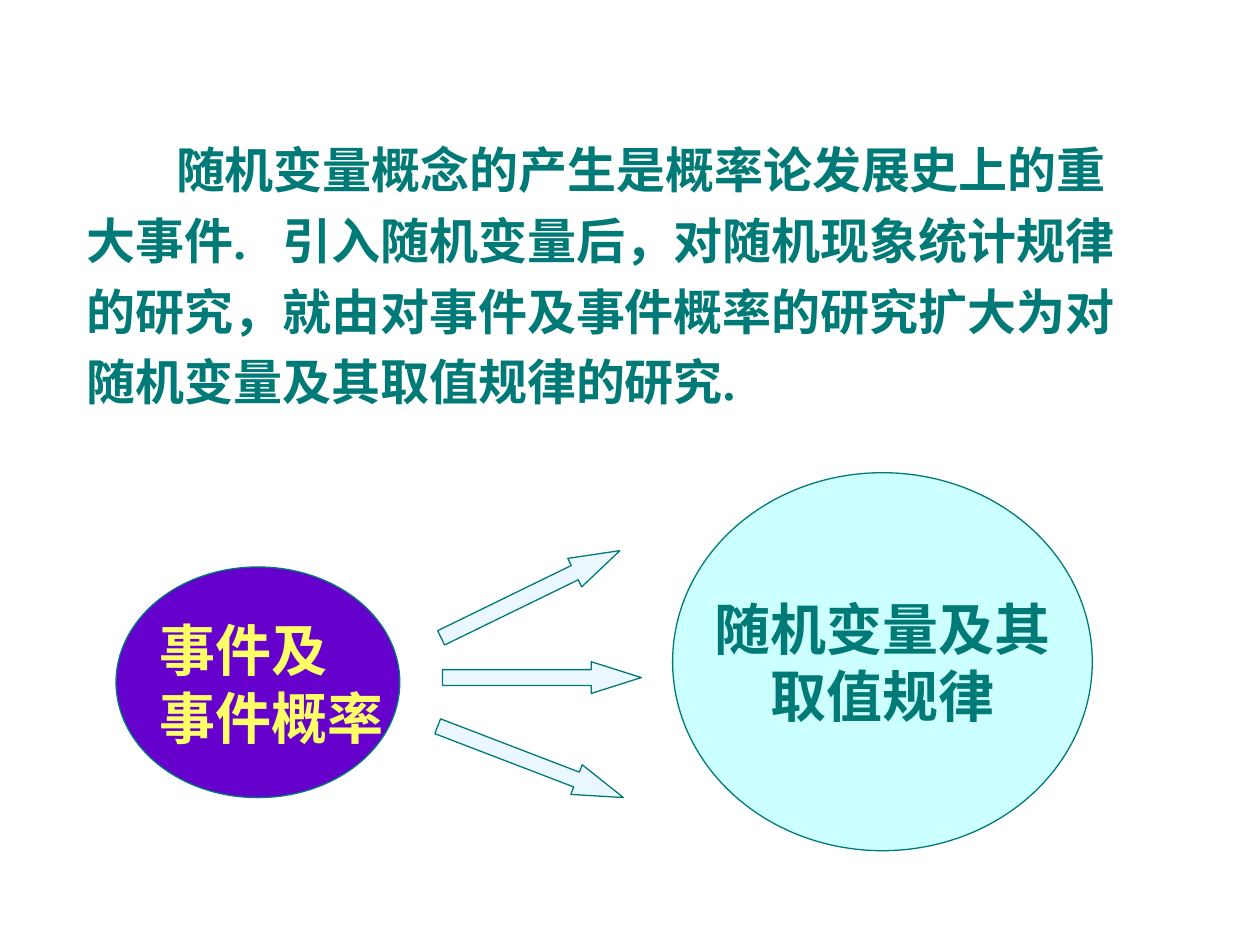
from dataclasses import dataclass

from pptx import Presentation
from pptx.dml.color import RGBColor
from pptx.enum.shapes import MSO_SHAPE
from pptx.enum.text import MSO_ANCHOR, MSO_AUTO_SIZE, PP_ALIGN
from pptx.util import Cm, Pt

ELLIPSE, ARROW = MSO_SHAPE.OVAL, MSO_SHAPE.RIGHT_ARROW
LEFT, CENTER = PP_ALIGN.LEFT, PP_ALIGN.CENTER
TOP, MIDDLE = MSO_ANCHOR.TOP, MSO_ANCHOR.MIDDLE
FIT_SHAPE = MSO_AUTO_SIZE.SHAPE_TO_FIT_TEXT


@dataclass(frozen=True)
class Theme:
    font: str = "Times New Roman"
    teal: str = "007A77"
    yellow: str = "FFFF66"
    purple: str = "6600CC"
    aqua: str = "CCFFFF"
    pale: str = "EBF7FF"
    body: int = 28
    label: int = 32
    line: float = 0.75


def rgb(value):
    return RGBColor.from_string(value)


def add_text(p, text, *, font, size, color, spacing=0):
    """Append a bold run; spacing is extra character spacing in points."""
    r = p.add_run()
    r.text = text
    r.font.name, r.font.size, r.font.bold = font, Pt(size), True
    r.font.color.rgb = rgb(color)
    if spacing:
        r.font._element.set("spc", str(spacing * 100))


class SlideBuilder:
    def __init__(self, slide, theme):
        self.s, self.theme = slide, theme

    def shape(self, kind, left, top, width, height, fill, rotation=0):
        sp = self.s.shapes.add_shape(kind, Cm(left), Cm(top), Cm(width), Cm(height))
        sp.shadow.inherit = False
        sp.fill.solid()
        sp.fill.fore_color.rgb = rgb(fill)
        sp.line.color.rgb = rgb(self.theme.teal)
        sp.line.width = Pt(self.theme.line)
        sp.rotation = rotation
        return sp

    def arrow(self, left, top, rotation):
        sp = self.shape(ARROW, left, top, 4.01, 0.64, self.theme.pale, rotation)
        sp.adjustments[0], sp.adjustments[1] = 0.5, 1.58

    def textbox(self, left, top, width, height, wrap):
        tf = self.s.shapes.add_textbox(Cm(left), Cm(top), Cm(width), Cm(height)).text_frame
        tf.word_wrap = wrap
        tf.auto_size = FIT_SHAPE
        return tf

    def label(self, tf, lines, color, align=LEFT, anchor=TOP):
        tf.word_wrap = False
        tf.vertical_anchor = anchor
        for i, line in enumerate(lines):
            p = tf.add_paragraph() if i else tf.paragraphs[0]
            p.alignment = align
            add_text(p, line, font=self.theme.font, size=self.theme.label, color=color)

    def body(self, tf, sentences, indent):
        """One paragraph with an indented first line and wide sentence gaps."""
        t = self.theme
        style = dict(font=t.font, size=t.body, color=t.teal)
        p = tf.paragraphs[0]
        p.line_spacing = 1.2
        p._p.get_or_add_pPr().set("indent", str(Cm(indent)))
        for i, sentence in enumerate(sentences):
            if i:
                add_text(p, " ", spacing=14, **style)
            add_text(p, sentence, **style)


def main():
    prs = Presentation()
    prs.slide_width, prs.slide_height = Cm(25.4), Cm(19.05)
    theme = Theme()
    b = SlideBuilder(prs.slides.add_slide(prs.slide_layouts[6]), theme)

    # Introduction
    b.body(b.textbox(1.5, 2.46, 21.41, 5.97, wrap=True), [
        "随机变量概念的产生是概率论发展史上的重大事件.",
        "引入随机变量后，对随机现象统计规律的研究，就由对事件及事件概率的研究扩大为对随机变量及其取值规律的研究.",
    ], indent=1.8)

    # Starting point: events
    b.shape(ELLIPSE, 2.34, 11.43, 5.72, 4.65, theme.purple)
    b.label(b.textbox(2.97, 12.29, 5.03, 2.97, wrap=False),
            ["事件及", "事件概率"], theme.yellow)

    # Arrows fanning out
    for left, top, rotation in [(8.92, 13.34, 0), (8.69, 11.66, 334), (8.69, 15.04, 21)]:
        b.arrow(left, top, rotation)

    # Wider subject: random variables
    sp = b.shape(ELLIPSE, 13.56, 9.53, 8.46, 7.62, theme.aqua)
    b.label(sp.text_frame, ["随机变量及其", "取值规律"], theme.teal, CENTER, MIDDLE)

    prs.save("out.pptx")


if __name__ == "__main__":
    main()
